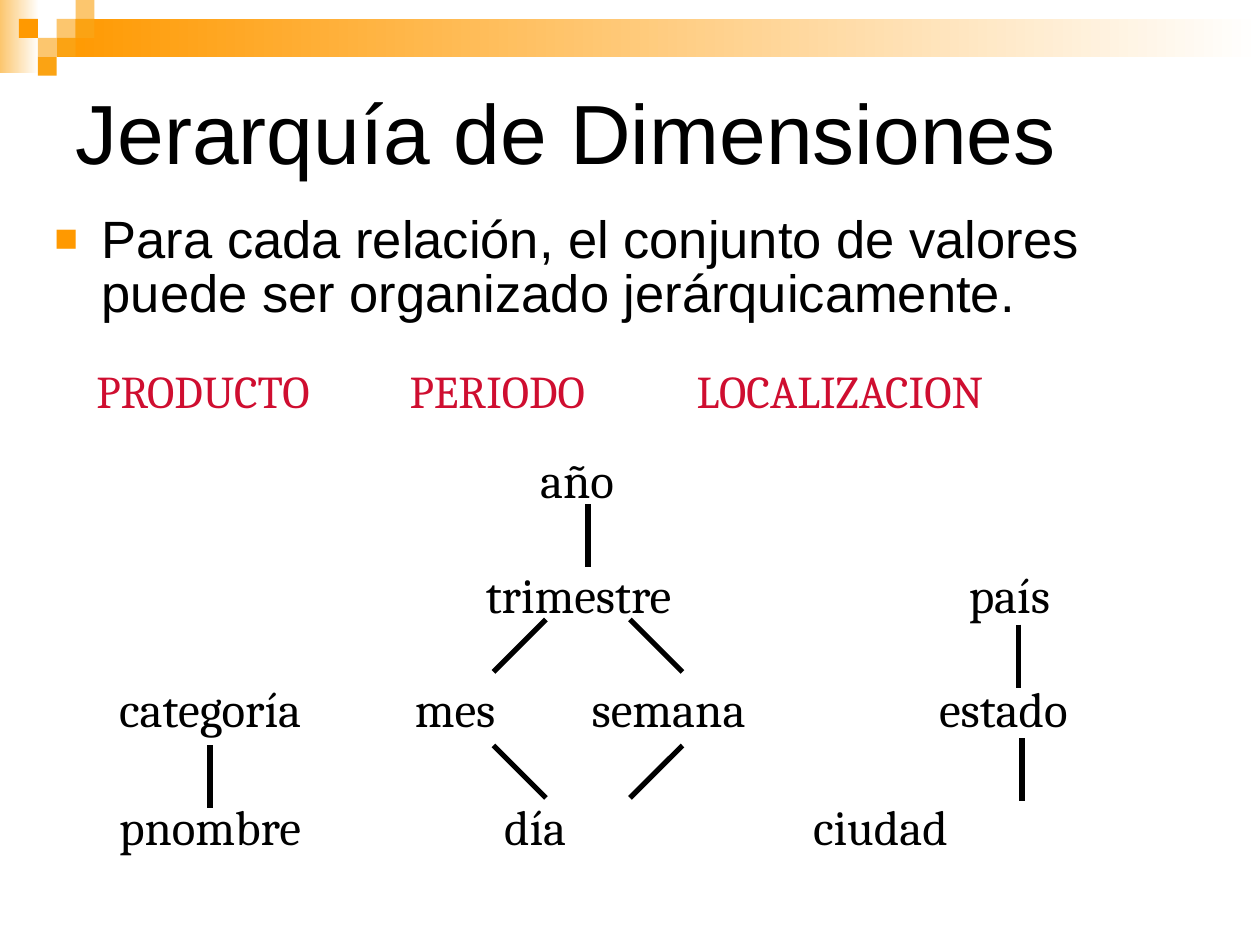
from lxml.etree import SubElement as Sub
from pptx import Presentation
from pptx.dml.color import RGBColor
from pptx.enum.shapes import MSO_CONNECTOR as CONN, MSO_SHAPE as SHAPE
from pptx.enum.text import MSO_ANCHOR as ANCHOR, PP_ALIGN as ALIGN
from pptx.oxml.ns import qn
from pptx.util import Pt


def rgb(value):
    return RGBColor.from_string(value)


class Deck:
    """Holds the style and the current slide, and draws its elements."""

    SANS, SERIF = "Arial", "Cambria"
    BLACK, RED = "000000", "CF0E30"
    ORANGE, MID, PALE = "FF9900", "FBA313", "FCC66E"

    def __init__(self):
        self.prs = Presentation()
        self.prs.slide_width, self.prs.slide_height = Pt(720), Pt(540)
        self.s = self.prs.slides.add_slide(self.prs.slide_layouts[5])

    def run(self, p, text, size, font, color):
        r = p.add_run()
        r.text = text
        r.font.size, r.font.name = Pt(size), font
        r.font.color.rgb = rgb(color)

    def rect(self, x, y, w, h, color, fade=False):
        sp = self.s.shapes.add_shape(SHAPE.RECTANGLE, Pt(x), Pt(y), Pt(w), Pt(h))
        sp.shadow.inherit = False
        sp.line.fill.background()
        if fade:
            sp.fill.gradient()
            sp.fill.gradient_angle = 180
            for stop, c in zip(sp.fill.gradient_stops, ("FFFFFF", color)):
                stop.color.rgb = rgb(c)
        else:
            sp.fill.solid()
            sp.fill.fore_color.rgb = rgb(color)

    def title(self, text, x, y, w, h):
        sp = self.s.shapes.title
        sp.left, sp.top, sp.width, sp.height = Pt(x), Pt(y), Pt(w), Pt(h)
        tf = sp.text_frame
        tf.vertical_anchor = ANCHOR.MIDDLE
        p = tf.paragraphs[0]
        p.alignment = ALIGN.LEFT
        self.run(p, text, 48, self.SANS, self.BLACK)

    def box(self, x, y, w, h):
        tf = self.s.shapes.add_textbox(Pt(x), Pt(y), Pt(w), Pt(h)).text_frame
        tf.word_wrap = True
        return tf.paragraphs[0]

    def bullet(self, text, x, y, w, h):
        p = self.box(x, y, w, h)
        pPr = p._p.get_or_add_pPr()
        pPr.set("marL", str(Pt(27)))
        pPr.set("indent", str(-Pt(27)))
        Sub(Sub(pPr, qn("a:buClr")), qn("a:srgbClr"), val=self.ORANGE)
        Sub(pPr, qn("a:buSzPct"), val="75000")
        Sub(pPr, qn("a:buFont"), typeface=self.SANS)
        Sub(pPr, qn("a:buChar"), char="■")
        p.line_spacing = 0.85
        self.run(p, text, 30, self.SANS, self.BLACK)

    def row(self, x, y, w, h, cells, size=28, color=BLACK):
        p = self.box(x, y, w, h)
        tabs = Sub(p._p.get_or_add_pPr(), qn("a:tabLst"))
        for pos, text in cells:
            if pos:
                Sub(tabs, qn("a:tab"), pos=str(Pt(pos)), algn="l")
                text = "\t" + text
            self.run(p, text, size, self.SERIF, color)

    def line(self, x1, y1, x2, y2):
        c = self.s.shapes.add_connector(CONN.STRAIGHT, Pt(x1), Pt(y1), Pt(x2), Pt(y2))
        c.line.color.rgb = rgb(self.BLACK)
        c.line.width = Pt(3)
        Sub(c._element.spPr, qn("a:effectLst"))


def main():
    d = Deck()
    d.rect(0, 0, 22.3, 41.8, d.PALE, fade=True)
    d.rect(32.4, 10.8, 687.6, 21.6, d.ORANGE, fade=True)
    unit = 10.8
    for col, row, color in ((3, 1, d.PALE), (4, 0, d.PALE), (4, 1, d.MID),
                            (2, 2, d.PALE), (1, 1, d.ORANGE), (3, 2, d.MID),
                            (2, 3, d.MID)):
        d.rect(col * unit, row * unit, unit, unit, color)

    d.title("Jerarquía de Dimensiones", 36, 36, 648, 78)
    d.bullet("Para cada relación, el conjunto de valores puede ser organizado "
             "jerárquicamente.", 24, 120, 672, 66)

    d.row(48, 204, 636, 39,
          ((0, "PRODUCTO"), (179, "PERIODO"), (343, "LOCALIZACION")), 26, d.RED)
    levels = (
        (253.5, 41, ((259.5, "año"),)),
        (319, 75, ((228.5, "trimestre"), (504.5, "país"))),
        (384, 75, ((19, "categoría"), (188, "mes"), (289, "semana"), (487.5, "estado"))),
        (451.5, 41, ((19, "pnombre"), (239, "día"), (415.5, "ciudad"))),
    )
    for y, h, cells in levels:
        d.row(42, y, 630, h, cells)

    for x, y in ((336, 288), (120, 426), (582, 357), (584, 422)):
        d.line(x, y, x, y + 36)
    for inner, outer in ((312, 282), (360, 390)):
        d.line(inner, 354, outer, 384)
        d.line(outer, 426, inner, 456)

    d.prs.save("out.pptx")


if __name__ == "__main__":
    main()
